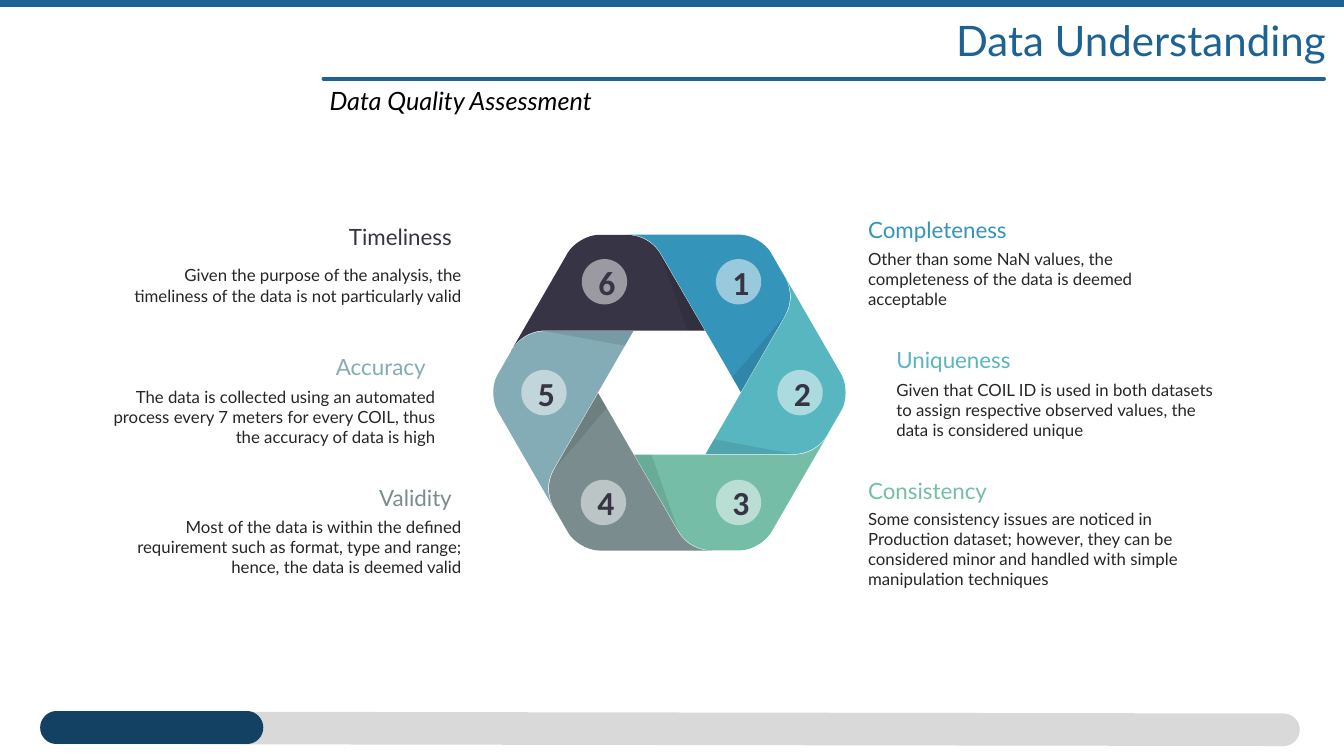
from math import cos, radians, sin

from pptx import Presentation
from pptx.dml.color import RGBColor
from pptx.enum.shapes import MSO_CONNECTOR, MSO_SHAPE
from pptx.enum.text import MSO_ANCHOR, MSO_AUTO_SIZE, PP_ALIGN
from pptx.oxml.ns import qn
from pptx.util import Inches, Pt
from lxml.etree import SubElement

COLORS = {
    "accent": "1D6294", "progress": "134163", "track": "D9D9D9",
    "shade": "0D0D0D", "white": "FFFFFF", "black": "000000",
    "body": "262626", "digit": "373545",
    "Completeness": "3494BA", "Uniqueness": "58B6C0", "Consistency": "75BDA7",
    "Validity": "7A8C8E", "Accuracy": "84ACB6", "Timeliness": "373545",
}
DIMENSIONS = [
    ("Completeness", "Other than some NaN values, the completeness of the data is deemed acceptable",
     (8.61, 2.09), 0.32, 0.71, (7.325, 2.795)),
    ("Uniqueness", "Given that COIL ID is used in both datasets to assign respective observed values, "
     "the data is considered unique",
     (8.89, 3.38), 0.33, 0.71, (7.935, 3.895)),
    ("Consistency", "Some consistency issues are noticed in Production dataset; however, they can be "
     "considered minor and handled with simple manipulation techniques",
     (8.61, 4.68), 0.31, 0.91, (7.325, 4.985)),
    ("Validity", "Most of the data is within the defined requirement such as format, type and range; "
     "hence, the data is deemed valid",
     (1.27, 4.75), 0.32, 0.71, (5.985, 4.985)),
    ("Accuracy", "The data is collected using an automated process every 7 meters for every COIL, "
     "thus the accuracy of data is high",
     (1.01, 3.45), 0.33, 0.71, (5.395, 3.895)),
    ("Timeliness", "Given the purpose of the analysis, the timeliness of the data is not particularly valid",
     (1.27, 2.16), 0.42, 0.5, (5.995, 2.795)),
]
WHEEL_CENTER = (6.64, 3.895)
BLADE_CURVES = [
    [(6.55, 2.52), (6.48, 2.4), (6.35, 2.33), (6.21, 2.33)],
    [(5.94, 2.33), (5.83, 2.33), (5.69, 2.41), (5.63, 2.51)],
    [(5.07, 3.48), (5.14, 3.35), (5.27, 3.28), (5.4, 3.28)],
]
BLADE_TIP = (6.99, 3.28)
BLADE_FOLD = [(6.55, 2.52), (6.82, 3.28), BLADE_TIP]


def color(name):
    return RGBColor.from_string(COLORS[name])


def write_text(shape, text, size, color_name, font="Lato", bold=False, italic=False,
               align=PP_ALIGN.LEFT, anchor=MSO_ANCHOR.TOP, wrap=True, margins=None):
    frame = shape.text_frame
    frame.auto_size = MSO_AUTO_SIZE.NONE
    frame.word_wrap = wrap
    frame.vertical_anchor = anchor
    if margins:
        frame.margin_left, frame.margin_right = (Inches(margin) for margin in margins)
    paragraph = frame.paragraphs[0]
    paragraph.alignment = align
    run = paragraph.add_run()
    run.text = text
    run.font.name, run.font.size = font, Pt(size)
    run.font.bold, run.font.italic = bold, italic
    run.font.color.rgb = color(color_name)


def add_text(slide, box, text, **text_format):
    write_text(slide.shapes.add_textbox(*map(Inches, box)), text, **text_format)


def add_line(slide, start, end, color_name, width, cap="rnd"):
    connector = slide.shapes.add_connector(MSO_CONNECTOR.STRAIGHT, *map(Inches, start + end))
    connector.line.color.rgb = color(color_name)
    connector.line.width = Pt(width)
    properties = connector.element.spPr
    properties.find(qn("a:ln")).set("cap", cap)
    SubElement(properties, qn("a:effectLst"))


def paint(shape, color_name, opacity=100):
    shape.shadow.inherit = False
    shape.fill.solid()
    shape.fill.fore_color.rgb = color(color_name)
    shape.line.fill.background()
    if opacity < 100:
        fill_color = shape.element.spPr.find(qn("a:solidFill"))[0]
        SubElement(fill_color, qn("a:alpha")).set("val", str(opacity * 1000))


def curve_points(controls, steps=12):
    for step in range(steps + 1):
        t = step / steps
        weights = ((1 - t) ** 3, 3 * t * (1 - t) ** 2, 3 * t * t * (1 - t), t ** 3)
        yield tuple(sum(weight * point[axis] for weight, point in zip(weights, controls))
                    for axis in (0, 1))


def rotate(point, degrees):
    center_x, center_y = WHEEL_CENTER
    x, y = point[0] - center_x, point[1] - center_y
    angle = radians(degrees)
    return (center_x + x * cos(angle) - y * sin(angle),
            center_y + x * sin(angle) + y * cos(angle))


def add_outline(slide, points, degrees, color_name, opacity=100):
    turned = [tuple(map(Inches, rotate(point, degrees))) for point in points]
    builder = slide.shapes.build_freeform(*turned[0])
    builder.add_line_segments(turned[1:], close=True)
    paint(builder.convert_to_shape(), color_name, opacity)


def add_header(slide, box):
    left, top, width, height = box
    title = slide.shapes.title
    title.left, title.top = Inches(left + width - 3.81), Inches(top + 0.09)
    title.width, title.height = Inches(3.93), Inches(0.61)
    write_text(title, "Data Understanding", size=30, color_name="accent",
               align=PP_ALIGN.RIGHT, wrap=False)
    add_line(slide, (0, top + 0.03), (13.33, top + 0.03), "accent", 6, cap="flat")
    add_line(slide, (left, top + 0.78), (left + width, top + 0.78), "accent", 3)
    add_text(slide, (left - 0.04, top + 0.8, 3.04, height - 0.8), "Data Quality Assessment",
             size=18, color_name="black", italic=True, wrap=False)


def add_blade(slide, number, name):
    blade = [point for curve in BLADE_CURVES for point in curve_points(curve)] + [BLADE_TIP]
    add_outline(slide, blade, 60 * number, name)
    add_outline(slide, BLADE_FOLD, 60 * number, "shade", opacity=10)


def add_badge(slide, number, center, diameter=0.45):
    left, top = (middle - diameter / 2 for middle in center)
    badge = slide.shapes.add_shape(MSO_SHAPE.OVAL, *map(Inches, (left, top, diameter, diameter)))
    paint(badge, "white", opacity=50)
    write_text(badge, str(number), size=24, color_name="digit", font="Calibri", bold=True,
               align=PP_ALIGN.CENTER, anchor=MSO_ANCHOR.MIDDLE)


def add_description(slide, box, name, description, gap):
    left, top, width, height = box
    align = PP_ALIGN.RIGHT if left < WHEEL_CENTER[0] else PP_ALIGN.LEFT
    add_text(slide, (left, top, width, 0.37), name, size=16, color_name=name,
             align=align, anchor=MSO_ANCHOR.MIDDLE, margins=(0, 0.1))
    add_text(slide, (left, top + gap, width, height), description, size=12, color_name="body",
             align=align, anchor=MSO_ANCHOR.MIDDLE, margins=(0, 0))


def add_progress_bar(slide, box, done):
    left, top, width, height = box
    add_line(slide, (left, top), (left + width, top + height), "track", 23.25)
    add_line(slide, (left, top), (left + done, top), "progress", 23.25)


def main():
    presentation = Presentation()
    presentation.slide_width, presentation.slide_height = Inches(13.33), Inches(7.5)
    slide = presentation.slides.add_slide(presentation.slide_layouts[5])
    add_progress_bar(slide, (0.56, 7.22, 12.17, 0.02), done=1.89)
    add_header(slide, (3.21, 0, 9.92, 1.2))
    for number, (name, description, corner, gap, height, center) in enumerate(DIMENSIONS, 1):
        add_blade(slide, number, name)
        add_badge(slide, number, center)
        add_description(slide, corner + (3.31, height), name, description, gap)
    presentation.save("out.pptx")


if __name__ == "__main__":
    main()
